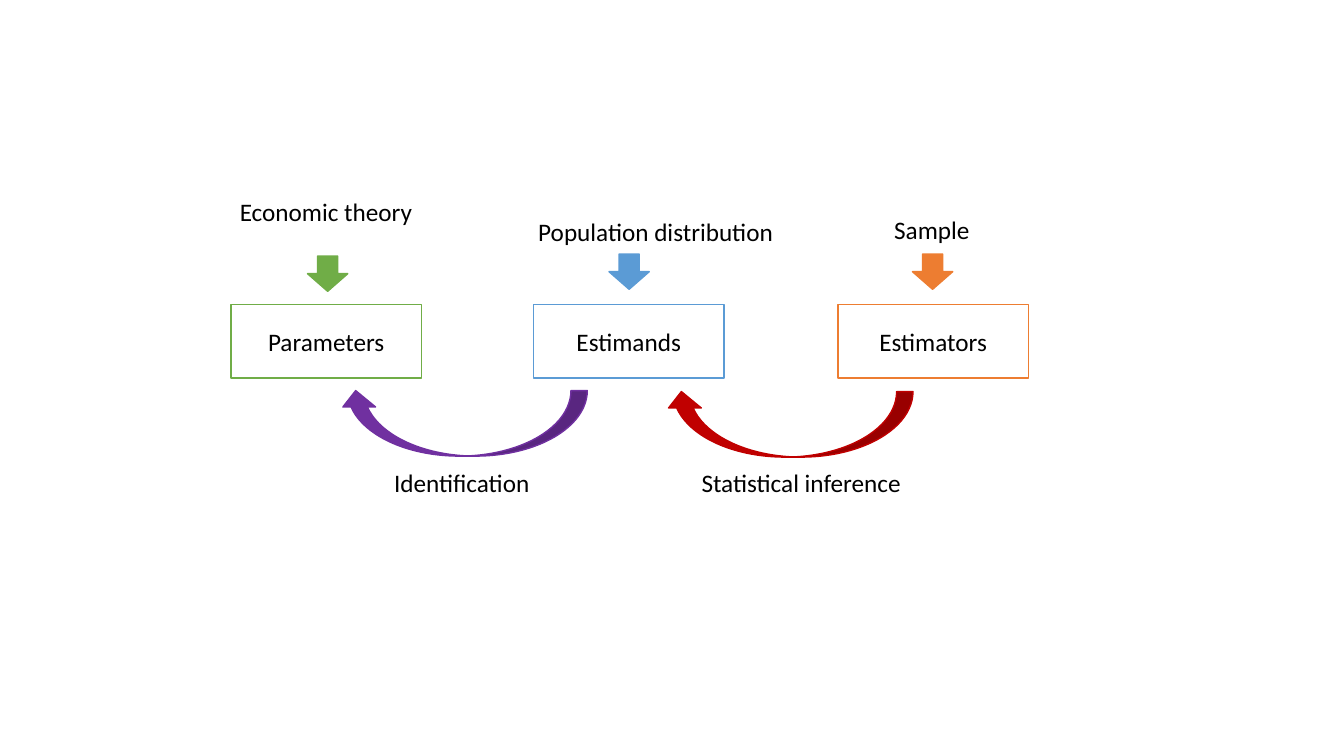
from dataclasses import dataclass

from pptx import Presentation
from pptx.dml.color import RGBColor
from pptx.enum.shapes import MSO_SHAPE
from pptx.enum.text import MSO_ANCHOR, MSO_AUTO_SIZE, PP_ALIGN
from pptx.util import Inches, Pt


@dataclass(frozen=True)
class Theme:
    font: str = "Calibri"
    text_size: int = 18
    line_width: int = 1
    text: str = "000000"
    background: str = "FFFFFF"
    theory: str = "70AD47"
    population: str = "5B9BD5"
    sample: str = "ED7D31"
    identification: str = "7030A0"
    inference: str = "C00000"


class Diagram:
    def __init__(self, slide, theme):
        self.slide = slide
        self.theme = theme

    def set_words(self, frame, words, align):
        paragraph = frame.paragraphs[0]
        paragraph.alignment = align
        run = paragraph.add_run()
        run.text = words
        style = {"name": self.theme.font, "size": Pt(self.theme.text_size)}
        for attribute, value in style.items():
            setattr(run.font, attribute, value)
        run.font.color.rgb = RGBColor.from_string(self.theme.text)

    def shape(self, preset, bounds, fill, line):
        shape = self.slide.shapes.add_shape(preset, *map(Inches, bounds))
        shape.shadow.inherit = False
        shape.fill.solid()
        shape.fill.fore_color.rgb = RGBColor.from_string(fill)
        shape.line.color.rgb = RGBColor.from_string(line)
        shape.line.width = Pt(self.theme.line_width)
        return shape

    def box(self, words, left, color):
        box = self.shape(MSO_SHAPE.RECTANGLE, (left, 3.02, 1.89, 0.73),
                         self.theme.background, color)
        box.text_frame.vertical_anchor = MSO_ANCHOR.MIDDLE
        self.set_words(box.text_frame, words, PP_ALIGN.CENTER)

    def label(self, words, left, top, width):
        label = self.slide.shapes.add_textbox(*map(Inches, (left, top, width, 0.4)))
        label.text_frame.word_wrap = False
        label.text_frame.auto_size = MSO_AUTO_SIZE.SHAPE_TO_FIT_TEXT
        self.set_words(label.text_frame, words, PP_ALIGN.LEFT)

    def down_arrow(self, left, top, color):
        self.shape(MSO_SHAPE.DOWN_ARROW, (left, top, 0.4, 0.35), color, color)

    def return_arrow(self, left, top, color):
        """Curve below the boxes, from right to left, with its head pointing up."""
        arrow = self.shape(MSO_SHAPE.CURVED_RIGHT_ARROW, (left, top, 0.65, 2.46), color, color)
        arrow.rotation = 270
        arrow.element.spPr.xfrm.set("flipV", "1")


def main():
    presentation = Presentation()
    presentation.slide_width = Inches(13.33)
    presentation.slide_height = Inches(7.5)
    theme = Theme()
    diagram = Diagram(presentation.slides.add_slide(presentation.slide_layouts[6]), theme)

    # concept, box left, its source, label bounds, arrow position, color
    concepts = [
        ("Parameters", 2.29, "Economic theory", (2.28, 1.9, 1.93), (3.05, 2.54), theme.theory),
        ("Estimands", 5.29, "Population distribution", (5.24, 2.1, 2.66), (6.04, 2.52),
         theme.population),
        ("Estimators", 8.31, "Sample", (8.77, 2.08, 0.96), (9.05, 2.52), theme.sample),
    ]
    for concept, box_left, source, label_bounds, arrow_position, color in concepts:
        diagram.box(concept, box_left, color)
        diagram.label(source, *label_bounds)
        diagram.down_arrow(*arrow_position, color)

    steps = [
        ("Identification", (3.81, 4.59, 1.56), (4.27, 2.97), theme.identification),
        ("Statistical inference", (6.86, 4.59, 2.2), (7.5, 2.98), theme.inference),
    ]
    for step, label_bounds, arrow_position, color in steps:
        diagram.return_arrow(*arrow_position, color)
        diagram.label(step, *label_bounds)

    presentation.save("out.pptx")


if __name__ == "__main__":
    main()
